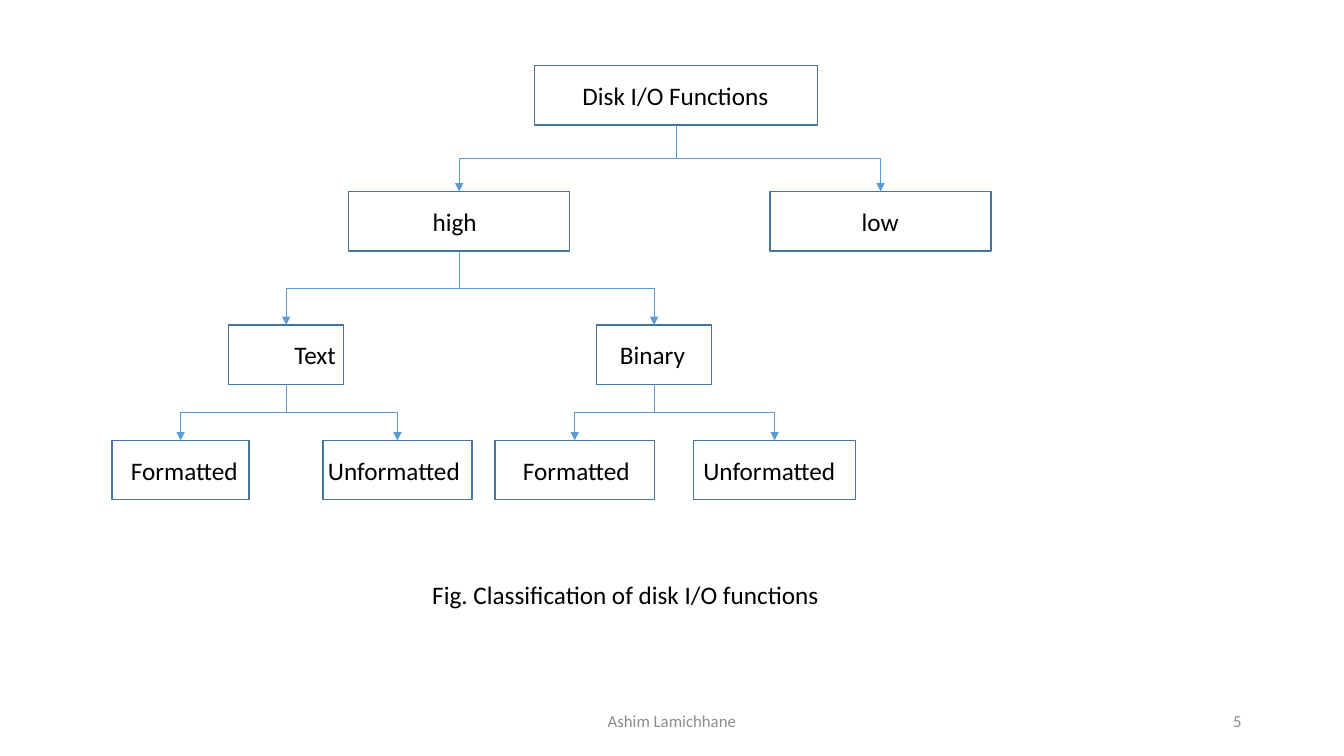
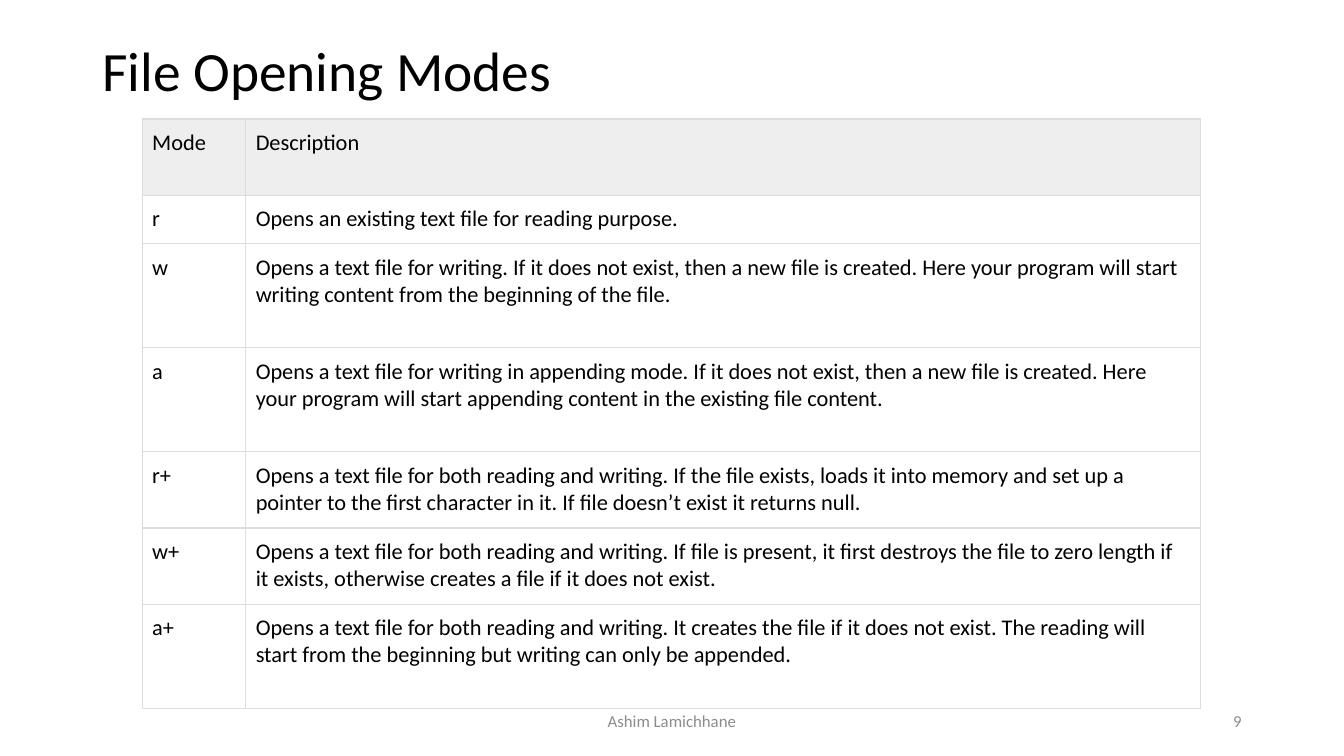
from lxml import etree
from pptx import Presentation
from pptx import util as u
from pptx.dml.color import RGBColor
from pptx.enum import shapes, text
from pptx.oxml import ns

Pt = u.Pt
FONT = "Calibri"
BLACK, GRAY = "000000", "8C8C8C"
BOX_LINE, ARROW_LINE = "43739E", "5B9BD5"
HEADER_FILL, GRID_LINE = "EEEEEE", "DDDDDD"
LEFT, CENTER, RIGHT = text.PP_ALIGN.LEFT, text.PP_ALIGN.CENTER, text.PP_ALIGN.RIGHT

# Content
AUTHOR = "Ashim Lamichhane"
CAPTION = "Fig. Classification of disk I/O functions"
BOX_HEIGHT = 42.4
LEVEL_TOPS = [46.8, 136.8, 232.2, 314.6]
# key: (label, parent, level, left, width, text indent)
TREE = {
    "root": ("Disk I/O Functions", None, 0, 381.6, 202.5, 34.5),
    "high": ("high", "root", 1, 249, 158, 60),
    "low": ("low", "root", 1, 550, 158, 65.5),
    "text": ("Text", "high", 2, 163.4, 82, 46.8),
    "binary": ("Binary", "high", 2, 426.2, 82, 16.6),
    "text formatted": ("Formatted", "text", 3, 80, 98, 13.5),
    "text unformatted": ("Unformatted", "text", 3, 230.6, 106.5, 3.6),
    "binary formatted": ("Formatted", "binary", 3, 353.5, 114, 20),
    "binary unformatted": ("Unformatted", "binary", 3, 495.3, 116, 7.2),
}

MODES_TITLE = "File Opening Modes"
COLUMN_WIDTHS = [74, 681.8]
# (mode, description, row height)
MODES = [
    ("Mode", "Description", 54.6),
    ("r", "Opens an existing text file for reading purpose.", 34.4),
    ("w", "Opens a text file for writing. If it does not exist, then a new file is created. "
          "Here your program will start writing content from the beginning of the file.", 74.4),
    ("a", "Opens a text file for writing in appending mode. If it does not exist, then a new "
          "file is created. Here your program will start appending content in the existing "
          "file content.", 74.4),
    ("r+", "Opens a text file for both reading and writing. If the file exists, loads it into "
           "memory and set up a pointer to the first character in it. If file doesn’t exist "
           "it returns null.", 54.4),
    ("w+", "Opens a text file for both reading and writing. If file is present, it first "
           "destroys the file to zero length if it exists, otherwise creates a file if it "
           "does not exist.", 54.4),
    ("a+", "Opens a text file for both reading and writing. It creates the file if it does not "
           "exist. The reading will start from the beginning but writing can only be "
           "appended.", 74.4),
]


# Shared helpers
def color(value):
    return RGBColor.from_string(value)


def write(frame, words, size=18, ink=BLACK, align=LEFT, anchor=text.MSO_ANCHOR.MIDDLE):
    frame.word_wrap = True
    frame.vertical_anchor = anchor
    para = frame.paragraphs[0]
    para.alignment = align
    span = para.add_run()
    span.text = words
    span.font.name, span.font.size = FONT, Pt(size)
    span.font.color.rgb = color(ink)


def add_text(page, words, left, top, width, height, **style):
    box = page.shapes.add_textbox(Pt(left), Pt(top), Pt(width), Pt(height))
    write(box.text_frame, words, **style)


def add_footer(page, number):
    add_text(page, AUTHOR, 318, 500.5, 324, 28.8, size=12, ink=GRAY, align=CENTER)
    add_text(page, str(number), 678, 500.5, 216, 28.8, size=12, ink=GRAY, align=RIGHT)


# Tree diagram parts
def add_box(page, label, level, left, width, indent):
    box = page.shapes.add_shape(shapes.MSO_SHAPE.RECTANGLE, Pt(left), Pt(LEVEL_TOPS[level]),
                                Pt(width), Pt(BOX_HEIGHT))
    box.shadow.inherit = False
    box.fill.background()
    box.line.color.rgb = color(BOX_LINE)
    box.line.width = Pt(1)
    frame = box.text_frame
    frame.margin_left, frame.margin_right = Pt(indent), 0
    write(frame, label)
    return box


def add_branch(page, parent, child):
    """Elbow arrow that runs down, across and down again."""
    start_x, end_x = (box.left + box.width // 2 for box in (parent, child))
    start_y, end_y = parent.top + parent.height, child.top
    arrow = page.shapes.add_connector(shapes.MSO_CONNECTOR.ELBOW,
                                      start_x, start_y, end_x, end_y)
    arrow.begin_connect(parent, 2)
    arrow.end_connect(child, 0)
    arrow.line.color.rgb = color(ARROW_LINE)
    arrow.line.width = Pt(0.5)
    # A turned frame makes the elbow leave vertically
    drop, reach = end_y - start_y, abs(end_x - start_x)
    arrow.left = (start_x + end_x - drop) // 2
    arrow.top = (start_y + end_y - reach) // 2
    arrow.width, arrow.height = drop, reach
    properties = arrow._element.spPr
    frame = properties.find(ns.qn("a:xfrm"))
    to_right = end_x > start_x
    frame.set("rot", str((270 if to_right else 90) * 60000))
    frame.set("flipH", "1" if to_right else "0")
    frame.set("flipV", "0")
    etree.SubElement(properties.find(ns.qn("a:ln")), ns.qn("a:tailEnd"), type="triangle")
    etree.SubElement(properties, ns.qn("a:effectLst"))


# Table parts
def add_borders(cell):
    properties = cell._tc.get_or_add_tcPr()
    for side in ("lnL", "lnR", "lnT", "lnB"):
        line = etree.SubElement(properties, ns.qn("a:" + side), w=str(Pt(1)))
        fill = etree.SubElement(line, ns.qn("a:solidFill"))
        etree.SubElement(fill, ns.qn("a:srgbClr"), val=GRID_LINE)


def fill_cell(cell, words, is_header):
    cell.margin_left = cell.margin_right = cell.margin_top = cell.margin_bottom = Pt(7.2)
    write(cell.text_frame, words, size=16, anchor=text.MSO_ANCHOR.TOP)
    add_borders(cell)
    if is_header:
        cell.fill.solid()
        cell.fill.fore_color.rgb = color(HEADER_FILL)
    else:
        cell.fill.background()


# Slides
def build_tree(deck):
    page = deck.slides.add_slide(deck.slide_layouts[6])
    boxes = {}
    for key, (label, parent, *place) in TREE.items():
        boxes[key] = add_box(page, label, *place)
        if parent:
            add_branch(page, boxes[parent], boxes[key])
    add_text(page, CAPTION, 301.7, 410.4, 310, 29)
    add_footer(page, 5)


def build_modes(deck):
    page = deck.slides.add_slide(deck.slide_layouts[5])
    title = page.shapes.title
    title.left, title.top, title.width, title.height = Pt(66), Pt(25.2), Pt(828), Pt(48.2)
    write(title.text_frame, MODES_TITLE, size=39.6)
    title.text_frame.auto_size = text.MSO_AUTO_SIZE.NONE

    table = page.shapes.add_table(len(MODES), len(COLUMN_WIDTHS), Pt(101.5), Pt(85),
                                  Pt(sum(COLUMN_WIDTHS)),
                                  Pt(sum(mode[2] for mode in MODES))).table
    table.first_row = table.horz_banding = False
    for column, width in zip(table.columns, COLUMN_WIDTHS):
        column.width = Pt(width)
    for index, (*words, height) in enumerate(MODES):
        table.rows[index].height = Pt(height)
        for cell, entry in zip(table.rows[index].cells, words):
            fill_cell(cell, entry, index == 0)
    add_footer(page, 9)


def main():
    deck = Presentation()
    deck.slide_width, deck.slide_height = Pt(960), Pt(540)
    build_tree(deck)
    build_modes(deck)
    deck.save("out.pptx")


if __name__ == "__main__":
    main()
